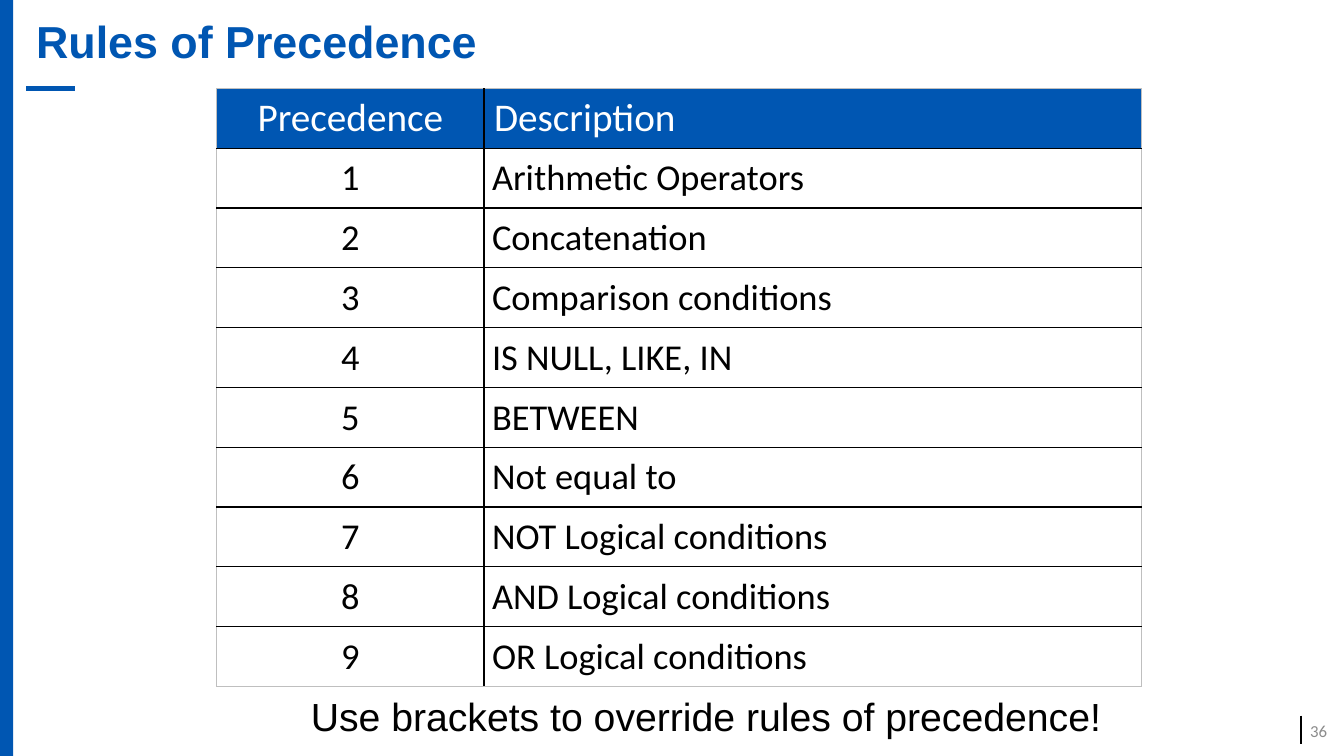
from lxml import etree
from pptx import Presentation
from pptx.dml.color import RGBColor
from pptx.enum.shapes import MSO_CONNECTOR, MSO_SHAPE
from pptx.enum.text import MSO_ANCHOR, PP_ALIGN
from pptx.oxml.ns import qn
from pptx.util import Inches, Pt

LEFT, CENTER, RIGHT = PP_ALIGN.LEFT, PP_ALIGN.CENTER, PP_ALIGN.RIGHT
TOP, MIDDLE = MSO_ANCHOR.TOP, MSO_ANCHOR.MIDDLE
RECTANGLE = MSO_SHAPE.RECTANGLE
STRAIGHT = MSO_CONNECTOR.STRAIGHT

BLUE, BLACK, WHITE = "0056B2", "000000", "FFFFFF"
PALE_GREY, NUMBER_GREY = "BFBFBF", "8C8C8C"

HEADER = ("Precedence", "Description")
CONDITIONS = (
    "Arithmetic Operators",
    "Concatenation",
    "Comparison conditions",
    "IS NULL, LIKE, IN",
    "BETWEEN",
    "Not equal to",
    "NOT Logical conditions",
    "AND Logical conditions",
    "OR Logical conditions",
)
COLUMN_WIDTHS = (2.65, 6.52)
ROW_HEIGHT = 0.59


def color(hex_code):
    return RGBColor.from_string(hex_code)


def write(frame, text, size, font, hex_code, align=LEFT, bold=False):
    """Put one formatted run in the first paragraph and return the paragraph."""
    paragraph = frame.paragraphs[0]
    paragraph.alignment = align
    run = paragraph.add_run()
    run.text = text
    run.font.size = Pt(size)
    run.font.name = font
    run.font.bold = bold
    run.font.color.rgb = color(hex_code)
    return paragraph


def add_text(slide, box, text, size, font, hex_code, align=LEFT, bold=False,
             anchor=MIDDLE, indent=0.1):
    frame = slide.shapes.add_textbox(*map(Inches, box)).text_frame
    frame.word_wrap = True
    frame.vertical_anchor = anchor
    frame.margin_left = Inches(indent)
    return write(frame, text, size, font, hex_code, align, bold)


def add_bar(slide, box, hex_code):
    bar = slide.shapes.add_shape(RECTANGLE, *map(Inches, box))
    bar.shadow.inherit = False
    bar.fill.solid()
    bar.fill.fore_color.rgb = color(hex_code)
    bar.line.fill.background()


def add_rule(slide, ends, hex_code, width):
    rule = slide.shapes.add_connector(STRAIGHT, *map(Inches, ends))
    rule.line.color.rgb = color(hex_code)
    rule.line.width = Pt(width)
    etree.SubElement(rule._element.spPr, qn("a:effectLst"))


def set_borders(cell, outer_sides):
    """Black inner borders, thin pale ones on the table's outline."""
    properties = cell._tc.get_or_add_tcPr()
    for side in "LRTB":
        outer = side in outer_sides
        line = etree.SubElement(properties, qn(f"a:ln{side}"),
                                w=str(Pt(0.5 if outer else 1)))
        fill = etree.SubElement(line, qn("a:solidFill"))
        etree.SubElement(fill, qn("a:srgbClr"), val=PALE_GREY if outer else BLACK)


def fill_cell(cell, text, is_header, align):
    if is_header:
        cell.fill.solid()
        cell.fill.fore_color.rgb = color(BLUE)
        write(cell.text_frame, text, 28, "Calibri", WHITE, align)
        return
    cell.fill.background()
    cell.vertical_anchor = MIDDLE
    cell.margin_left = cell.margin_right = Inches(0.08)
    cell.margin_top = cell.margin_bottom = Inches(0.08)
    write(cell.text_frame, text, 26, "Calibri", BLACK, align)


def add_precedence_table(slide, left, top):
    rows = [HEADER] + [(str(n), name) for n, name in enumerate(CONDITIONS, 1)]
    last_row, last_column = len(rows) - 1, len(HEADER) - 1
    table = slide.shapes.add_table(
        len(rows), len(HEADER), Inches(left), Inches(top),
        Inches(sum(COLUMN_WIDTHS)), Inches(ROW_HEIGHT * len(rows))).table
    table.horz_banding = False
    for column, width in zip(table.columns, COLUMN_WIDTHS):
        column.width = Inches(width)
    for r, row in enumerate(rows):
        table.rows[r].height = Inches(ROW_HEIGHT)
        for c, text in enumerate(row):
            edges = {"L": c == 0, "R": c == last_column,
                     "T": r == 0, "B": r == last_row}
            cell = table.cell(r, c)
            set_borders(cell, [side for side, outer in edges.items() if outer])
            fill_cell(cell, text, r == 0, CENTER if c == 0 else LEFT)


def main():
    deck = Presentation()
    deck.slide_width, deck.slide_height = Inches(13.33), Inches(7.5)
    slide = deck.slides.add_slide(deck.slide_layouts[6])

    # Side bar, page number rule and title underline
    add_bar(slide, (0, 0, 0.13, 7.5), BLUE)
    add_rule(slide, (12.9, 7.1, 12.9, 7.38), BLACK, 1.5)
    add_rule(slide, (0.74, 0.88, 0.26, 0.88), BLUE, 4)

    # Title
    title = add_text(slide, (0.26, 0, 12.94, 0.88), "Rules of Precedence",
                     32, "Arial", BLUE, bold=True)
    title.line_spacing = 0.9

    # Precedence table
    add_precedence_table(slide, 2.15, 0.88)

    # Closing advice, indented to sit under the table
    advice = add_text(slide, (0.26, 6.87, 12.94, 0.57),
                      "Use brackets to override rules of precedence!",
                      28, "Arial", BLACK, CENTER, anchor=TOP, indent=0.64)
    advice.line_spacing = 0.9
    advice.space_before = Pt(10)

    # Page number
    add_text(slide, (12.84, 7.05, 0.42, 0.4), "36", 12, "Calibri",
             NUMBER_GREY, RIGHT)

    deck.save("out.pptx")


if __name__ == "__main__":
    main()
